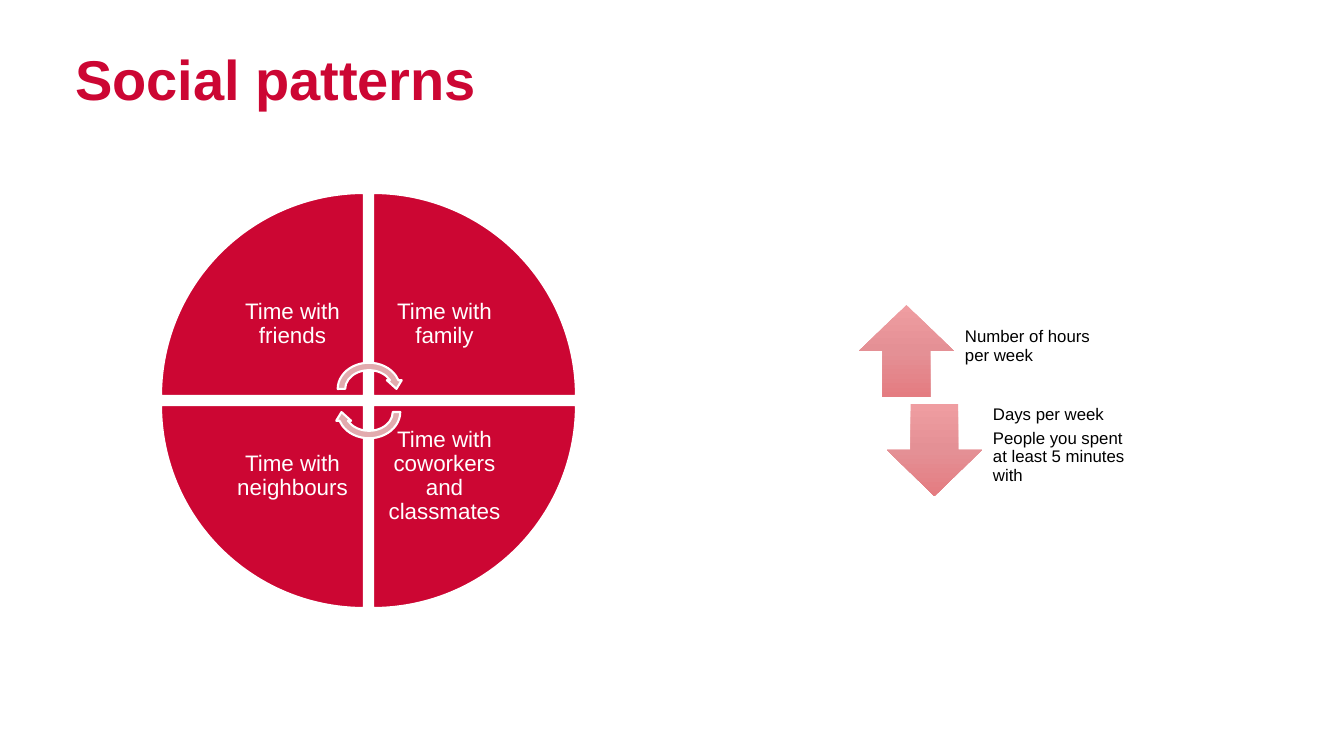
import copy
from dataclasses import dataclass

import pptx
import pptx.dml.color
import pptx.enum.shapes
import pptx.enum.text
import pptx.oxml.ns
import pptx.util

RGBColor = pptx.dml.color.RGBColor
ShapeType = pptx.enum.shapes.MSO_SHAPE
Align = pptx.enum.text.PP_ALIGN

RED = RGBColor(0xCC, 0x06, 0x33)
PINK = RGBColor(0xE2, 0xAB, 0xAE)
WHITE = RGBColor(0xFF, 0xFF, 0xFF)
BLACK = RGBColor(0x00, 0x00, 0x00)
ARROW_GRADIENT = [
    (0.0, RGBColor(0xEF, 0x9D, 0xA1)),
    (0.5, RGBColor(0xE4, 0x90, 0x95)),
    (1.0, RGBColor(0xE4, 0x7C, 0x81)),
]
FONT = "Arial"
PX_PER_INCH = 100.8


@dataclass(frozen=True)
class Box:
    left: int
    top: int
    width: int
    height: int

    def emu(self) -> list[int]:
        return [px(n) for n in (self.left, self.top, self.width, self.height)]


@dataclass(frozen=True)
class Quadrant:
    label: str
    column: int
    row: int
    rotation: int


@dataclass(frozen=True)
class Measure:
    kind: ShapeType
    left: int
    top: int
    lines: tuple[str, ...]


@dataclass(frozen=True)
class TextStyle:
    size: int
    color: RGBColor
    align: Align
    insets: tuple[int, int, int, int]


QUADRANT_STYLE = TextStyle(16, WHITE, Align.CENTER, (12, 12, 12, 12))
MEASURE_STYLE = TextStyle(12, BLACK, Align.LEFT, (9, 0, 9, 9))

QUADRANTS = [
    Quadrant("Time with friends", 0, 0, 0),
    Quadrant("Time with family", 1, 0, 90),
    Quadrant("Time with coworkers and classmates", 1, 1, 180),
    Quadrant("Time with neighbours", 0, 1, 270),
]
MEASURES = [
    Measure(ShapeType.UP_ARROW, 859, 305, ("Number of hours per week",)),
    Measure(ShapeType.DOWN_ARROW, 887, 404,
            ("Days per week", "People you spent at least 5 minutes with")),
]

# Wheel geometry
WHEEL_LEFT, WHEEL_TOP = 161, 193
WEDGE, WEDGE_PITCH, LABEL = 203, 212, 143
# Measure geometry
ARROW_WIDTH, ARROW_HEIGHT = 95, 92
CAPTION_OFFSET, CAPTION_WIDTH = 97, 160


def px(length: int) -> int:
    return round(length / PX_PER_INCH * pptx.util.Inches(1))


def add_shape(shapes, kind: ShapeType, box: Box, rotation: int = 0):
    shape = shapes.add_shape(kind, *box.emu())
    shape.rotation = rotation
    shape.shadow.inherit = False
    return shape


def add_outlined(shapes, kind: ShapeType, box: Box, color: RGBColor, rotation: int) -> None:
    shape = add_shape(shapes, kind, box, rotation)
    shape.fill.solid()
    shape.fill.fore_color.rgb = color
    shape.line.color.rgb = WHITE
    shape.line.width = pptx.util.Pt(1.5)


def add_gradient_arrow(shapes, kind: ShapeType, box: Box) -> None:
    shape = add_shape(shapes, kind, box)
    shape.line.fill.background()
    shape.fill.gradient()
    shape.fill.gradient_angle = 270
    # The default gradient has two stops; add the middle one
    stop_list = shape.element.spPr.find(".//" + pptx.oxml.ns.qn("a:gsLst"))
    stop_list.append(copy.deepcopy(stop_list[0]))
    for stop, (position, color) in zip(shape.fill.gradient_stops, ARROW_GRADIENT):
        stop.position = position
        stop.color.rgb = color


def add_text(shapes, lines: tuple[str, ...], box: Box, style: TextStyle) -> None:
    frame = shapes.add_textbox(*box.emu()).text_frame
    frame.word_wrap = True
    frame.vertical_anchor = pptx.enum.text.MSO_ANCHOR.MIDDLE
    (frame.margin_left, frame.margin_top,
     frame.margin_right, frame.margin_bottom) = map(px, style.insets)
    frame.text = "\n".join(lines)
    for paragraph in frame.paragraphs:
        paragraph.alignment = style.align
        paragraph.line_spacing = 0.9
        paragraph.space_after = pptx.util.Pt(style.size * 0.35)
        paragraph.font.name = FONT
        paragraph.font.size = pptx.util.Pt(style.size)
        paragraph.font.color.rgb = style.color


def set_title(slide, text: str) -> None:
    title = slide.shapes.title
    title.left, title.top, title.width, title.height = Box(65, 40, 1204, 84).emu()
    frame = title.text_frame
    frame.text = text
    frame.auto_size = pptx.enum.text.MSO_AUTO_SIZE.NONE
    frame.vertical_anchor = pptx.enum.text.MSO_ANCHOR.MIDDLE
    paragraph = frame.paragraphs[0]
    paragraph.alignment = Align.LEFT
    paragraph.line_spacing = 0.9
    paragraph.font.name = FONT
    paragraph.font.size = pptx.util.Pt(40)
    paragraph.font.bold = True
    paragraph.font.color.rgb = RED


def add_wheel(slide) -> None:
    shapes = slide.shapes.add_group_shape().shapes
    for quadrant in QUADRANTS:
        left = WHEEL_LEFT + quadrant.column * WEDGE_PITCH
        top = WHEEL_TOP + quadrant.row * WEDGE_PITCH
        add_outlined(shapes, ShapeType.PIE_WEDGE, Box(left, top, WEDGE, WEDGE),
                     RED, quadrant.rotation)
        # Labels sit in the corner nearest the wheel's centre
        inward = WEDGE - LABEL
        label_box = Box(left + (1 - quadrant.column) * inward,
                        top + (1 - quadrant.row) * inward, LABEL, LABEL)
        add_text(shapes, (quadrant.label,), label_box, QUADRANT_STYLE)
    for top, rotation in ((359, 0), (382, 180)):
        add_outlined(shapes, ShapeType.CIRCULAR_ARROW, Box(334, top, 70, 60), PINK, rotation)


def add_measures(slide) -> None:
    shapes = slide.shapes.add_group_shape().shapes
    for measure in MEASURES:
        add_gradient_arrow(shapes, measure.kind,
                           Box(measure.left, measure.top, ARROW_WIDTH, ARROW_HEIGHT))
        caption_box = Box(measure.left + CAPTION_OFFSET, measure.top,
                          CAPTION_WIDTH, ARROW_HEIGHT)
        add_text(shapes, measure.lines, caption_box, MEASURE_STYLE)


def main() -> None:
    presentation = pptx.Presentation()
    presentation.slide_width, presentation.slide_height = px(1344), px(756)
    title_only = presentation.slide_layouts.get_by_name("Title Only")
    slide = presentation.slides.add_slide(title_only)
    set_title(slide, "Social patterns")
    add_wheel(slide)
    add_measures(slide)
    presentation.save("out.pptx")


if __name__ == "__main__":
    main()
